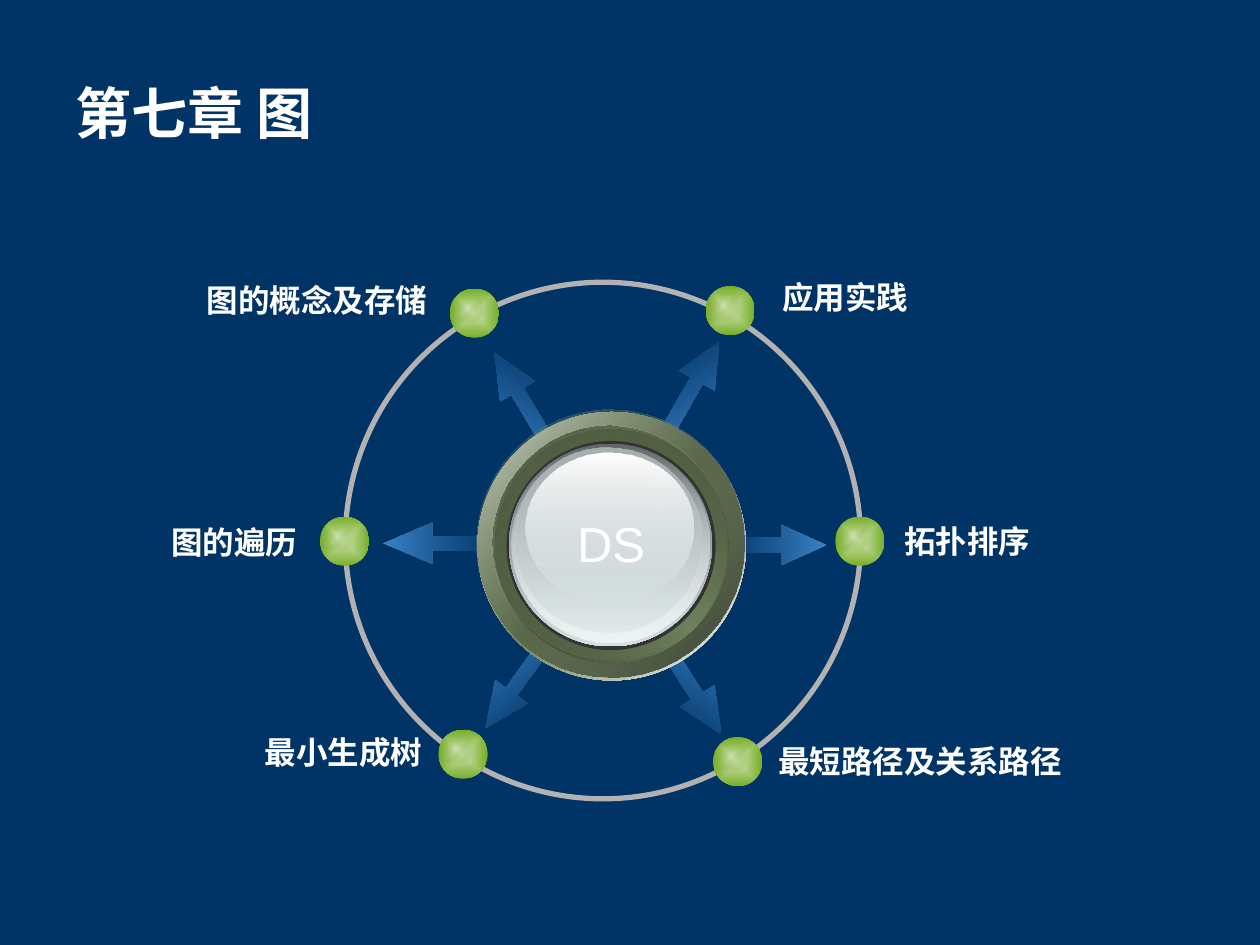
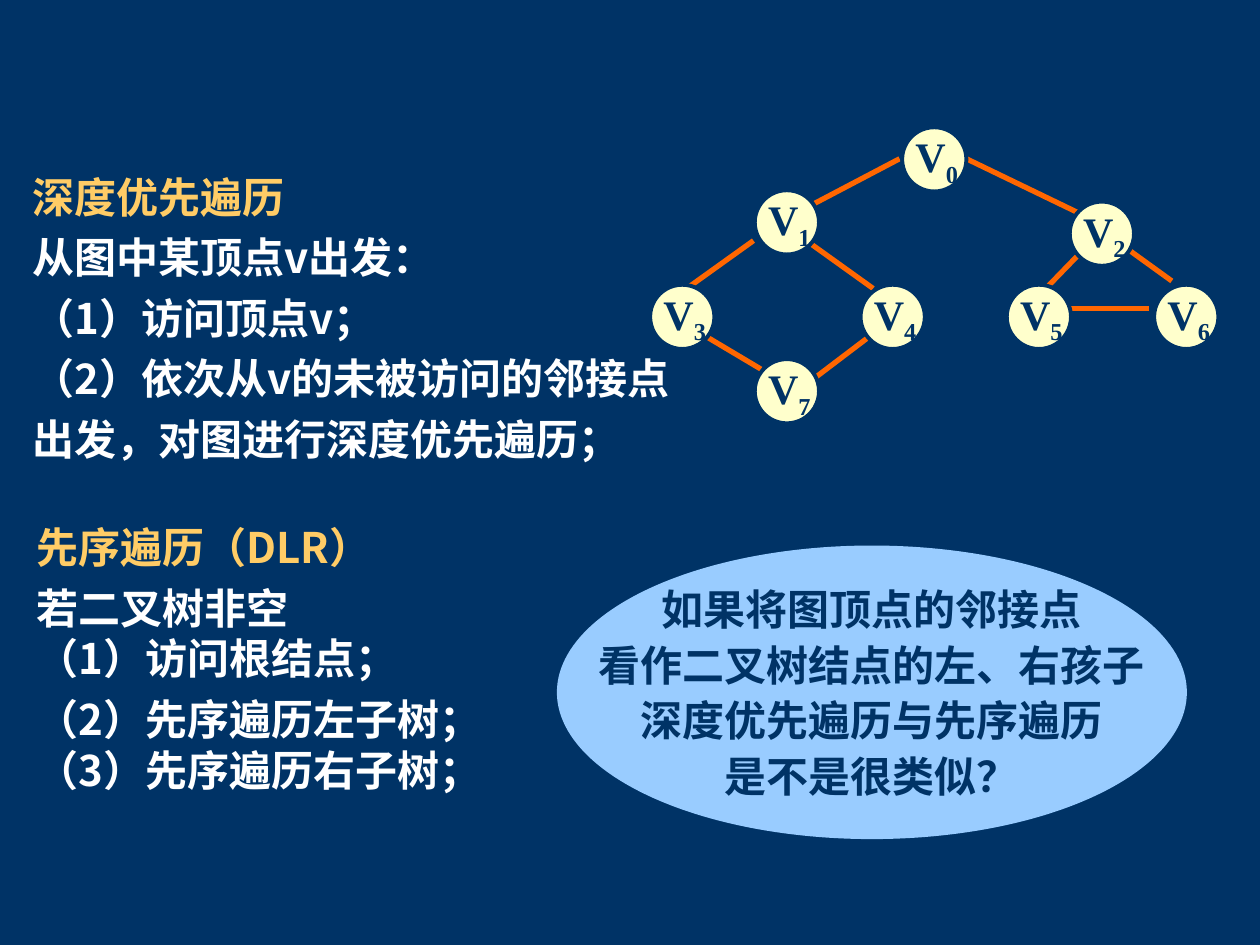
from lxml.etree import SubElement
from pptx import Presentation
from pptx.dml.color import RGBColor
from pptx.enum.shapes import MSO_CONNECTOR, MSO_SHAPE
from pptx.enum.text import MSO_ANCHOR, PP_ALIGN
from pptx.oxml.ns import qn
from pptx.util import Inches, Pt

NAVY = RGBColor(0x00, 0x33, 0x66)
WHITE = RGBColor(0xFF, 0xFF, 0xFF)
GOLD = RGBColor(0xFF, 0xCC, 0x66)
SKY = RGBColor(0x99, 0xCC, 0xFF)
CREAM = RGBColor(0xFF, 0xFF, 0xCC)
ORANGE = RGBColor(0xFF, 0x66, 0x00)
RING_GRAY = RGBColor(0xB2, 0xB2, 0xB2)
CHARCOAL = RGBColor(0x33, 0x33, 0x33)
CHINESE_FONT = "Noto Sans CJK SC"

# Gradient stops: position %, colour, opacity %
ARROW_STOPS = [(0, "3984C9", 100), (100, "3275B2", 0)]
BEAD_STOPS = [(0, "D0E2B5", 100), (100, "77AE26", 100)]
GLINT_STOPS = [(0, "D0E2B5", 100), (100, "77AE26", 0)]

CHAPTER_TITLE = "第七章 图"
HUB_TEXT = "DS"
# Left, top, width, rotation, gradient angle, head length
ARROWS = [
    (5.05, 2.93, 0.87, 299.6, 240, 1.11),
    (5.05, 5.29, 0.87, 57.8, 122, 1.11),
    (3.71, 3.01, 0.87, 239.5, 300, 1.11),
    (3.67, 5.26, 0.87, 125.6, 54, 1.11),
    (5.68, 4.16, 0.87, 0, 180, 1.11),
    (3.04, 4.15, 0.94, 180, 0, 1.21),
]
# Topic, bead position, label edge nearest the bead, label top, alignment
TOPICS = [
    ("图的概念及存储", (3.57, 2.29), 3.49, 2.18, PP_ALIGN.RIGHT),
    ("图的遍历", (2.54, 4.1), 2.46, 4.1, PP_ALIGN.RIGHT),
    ("最小生成树", (3.48, 5.79), 3.45, 5.77, PP_ALIGN.RIGHT),
    ("应用实践", (5.6, 2.27), 6.11, 2.16, PP_ALIGN.LEFT),
    ("拓扑排序", (6.63, 4.1), 7.08, 4.09, PP_ALIGN.LEFT),
    ("最短路径及关系路径", (5.66, 5.85), 6.08, 5.84, PP_ALIGN.LEFT),
]
# Box, gradient stops (or a solid colour), angle
HUB_LAYERS = [
    ((3.79, 3.27, 2.13, 2.13),
     [(0, "FEFEFE", 100), (50, "6E815B", 100), (100, "FEFEFE", 100)], 225),
    ((3.78, 3.25, 2.13, 2.13), [(0, "323B29", 100), (100, "6E815B", 32)], 225),
    ((3.93, 3.41, 1.85, 1.85),
     [(0, "3B4531", 100), (50, "6E815B", 100), (100, "3B4531", 100)], 135),
    ((3.91, 3.38, 1.85, 1.85), [(0, "6E815B", 0), (100, "455139", 100)], 225),
    ((4.02, 3.5, 1.66, 1.66), CHARCOAL, None),
    ((4.04, 3.52, 1.61, 1.61), [(0, "626768", 100), (100, "D6E1E2", 100)], 90),
    ((4.06, 3.53, 1.57, 1.57), [(0, "D6E1E2", 0), (100, "EFF3F3", 100)], 90),
    ((4.08, 3.55, 1.49, 1.47), [(0, "A8B1B2", 100), (100, "D6E1E2", 48)], 90),
    ((4.17, 3.59, 1.33, 1.19), [(0, "FEFEFE", 100), (100, "D6E1E2", 38)], 90),
]

DEPTH_FIRST = [
    "深度优先遍历",
    "从图中某顶点v出发：",
    "（1）访问顶点v；\v（2）依次从v的未被访问的邻接点",
    "出发，对图进行深度优先遍历；",
]
PREORDER = [
    "先序遍历（DLR）",
    "若二叉树非空\v（1）访问根结点；",
    "（2）先序遍历左子树；\v（3）先序遍历右子树；",
]
QUESTION = [
    "如果将图顶点的邻接点",
    "看作二叉树结点的左、右孩子",
    "深度优先遍历与先序遍历",
    "是不是很类似？",
]
# Left and top of V0 to V7
VERTICES = [(7.16, 1.01), (5.99, 1.51), (8.49, 1.6), (5.16, 2.26),
            (6.83, 2.26), (7.99, 2.26), (9.16, 2.26), (5.99, 2.85)]
VERTEX_SIZE = 0.51
EDGES = [
    (5.45, 2.29, 5.98, 1.91), (6.36, 1.67, 7.14, 1.26), (6.4, 1.91, 6.93, 2.29),
    (7.67, 1.26, 8.56, 1.69), (8.94, 1.97, 9.3, 2.23), (8.3, 2.29, 8.62, 1.96),
    (8.41, 2.45, 9.12, 2.45), (6.4, 3.05, 6.98, 2.61), (5.62, 2.68, 6.04, 2.93),
]


def style_paragraph(paragraph, size, color, font_name, bold=True, align=PP_ALIGN.LEFT):
    paragraph.alignment = align
    font = paragraph.font
    font.size, font.bold, font.name = Pt(size), bold, font_name
    font.color.rgb = color
    properties = paragraph._p.pPr.find(qn("a:defRPr"))
    SubElement(properties, qn("a:ea")).set("typeface", CHINESE_FONT)


def fill_paragraphs(frame, texts):
    for index, text in enumerate(texts):
        paragraph = frame.paragraphs[0] if index == 0 else frame.add_paragraph()
        paragraph.text = text
        yield index, paragraph


def add_text(slide, box, texts, wrap=True):
    """Add a text box and return its numbered paragraphs for styling."""
    frame = slide.shapes.add_textbox(*map(Inches, box)).text_frame
    frame.word_wrap = wrap
    return list(fill_paragraphs(frame, texts))


def add_plain_shape(slide, kind, box, color=None):
    shape = slide.shapes.add_shape(kind, *map(Inches, box))
    shape.shadow.inherit = False
    shape.line.fill.background()
    if color is None:
        shape.fill.background()
    else:
        shape.fill.solid()
        shape.fill.fore_color.rgb = color
    return shape


def set_gradient(shape, stops, angle=None):
    """Fill with a linear gradient, or one spreading from the centre if no angle."""
    properties = shape._element.spPr
    properties.remove(properties.find(qn("a:noFill")))
    gradient = properties.makeelement(qn("a:gradFill"), {"rotWithShape": "0"})
    properties.find(qn("a:prstGeom")).addnext(gradient)
    stop_list = SubElement(gradient, qn("a:gsLst"))
    for position, color, opacity in stops:
        stop = SubElement(stop_list, qn("a:gs"), pos=str(position * 1000))
        value = SubElement(stop, qn("a:srgbClr"), val=color)
        if opacity < 100:
            SubElement(value, qn("a:alpha"), val=str(opacity * 1000))
    if angle is None:
        center = SubElement(gradient, qn("a:path"))
        center.set("path", "rect")
        SubElement(center, qn("a:fillToRect"), l="50000", t="50000", r="50000", b="50000")
    else:
        SubElement(gradient, qn("a:lin"), ang=str(angle * 60000), scaled="0")


def add_arrow(slide, left, top, width, rotation, angle, head):
    arrow = add_plain_shape(slide, MSO_SHAPE.RIGHT_ARROW, (left, top, width, 0.32))
    arrow.adjustments[0], arrow.adjustments[1] = 0.35, head
    arrow.rotation = rotation
    set_gradient(arrow, ARROW_STOPS, angle)


def add_topic(slide, text, bead, edge, top, align):
    left, bead_top = bead
    for box, stops in [((left, bead_top, 0.39, 0.39), BEAD_STOPS),
                       ((left + 0.02, bead_top + 0.03, 0.24, 0.25), GLINT_STOPS)]:
        set_gradient(add_plain_shape(slide, MSO_SHAPE.OVAL, box), stops)
    width = 0.2 + 0.25 * len(text)
    label_left = edge - width if align == PP_ALIGN.RIGHT else edge
    for _, paragraph in add_text(slide, (label_left, top, width, 0.4), [text], wrap=False):
        style_paragraph(paragraph, 18, WHITE, "Arial", align=align)


def add_edge(slide, *ends):
    edge = slide.shapes.add_connector(MSO_CONNECTOR.STRAIGHT, *map(Inches, ends))
    edge.line.color.rgb = ORANGE
    edge.line.width = Pt(3)
    SubElement(edge._element.spPr, qn("a:effectLst"))


def add_vertex(slide, number, left, top):
    vertex = add_plain_shape(
        slide, MSO_SHAPE.OVAL, (left, top, VERTEX_SIZE, VERTEX_SIZE), CREAM)
    vertex.line.color.rgb = NAVY
    vertex.line.width = Pt(2.25)
    frame = vertex.text_frame
    frame.word_wrap = False
    frame.margin_left = Inches(0.04)
    frame.margin_right = frame.margin_top = frame.margin_bottom = 0
    paragraph = frame.paragraphs[0]
    paragraph.add_run().text = "V"
    subscript = paragraph.add_run()
    subscript.text = str(number)
    subscript.font._element.set("baseline", "-25000")
    style_paragraph(paragraph, 24, NAVY, "Times New Roman", align=PP_ALIGN.CENTER)


def build_chapter_slide(presentation):
    slide = presentation.slides.add_slide(presentation.slide_layouts[5])
    title = slide.shapes.title
    title.left, title.top, title.width, title.height = map(Inches, (0.5, 0.58, 8.42, 0.62))
    title.text_frame.text = CHAPTER_TITLE
    title.text_frame.vertical_anchor = MSO_ANCHOR.MIDDLE
    style_paragraph(title.text_frame.paragraphs[0], 32, WHITE, "DejaVu Sans")

    for arrow in ARROWS:
        add_arrow(slide, *arrow)
    ring = add_plain_shape(slide, MSO_SHAPE.OVAL, (2.74, 2.24, 4.09, 4.1))
    ring.line.color.rgb = RING_GRAY
    ring.line.width = Pt(3)
    for topic in TOPICS:
        add_topic(slide, *topic)
    for box, filling, angle in HUB_LAYERS:
        if angle is None:
            add_plain_shape(slide, MSO_SHAPE.OVAL, box, filling)
        else:
            set_gradient(add_plain_shape(slide, MSO_SHAPE.OVAL, box), filling, angle)
    for _, paragraph in add_text(slide, (4.48, 4.03, 0.74, 0.57), [HUB_TEXT], wrap=False):
        style_paragraph(paragraph, 28, WHITE, "Arial", bold=False, align=PP_ALIGN.CENTER)


def build_traversal_slide(presentation):
    slide = presentation.slides.add_slide(presentation.slide_layouts[6])
    bubble = add_plain_shape(slide, MSO_SHAPE.OVAL, (4.42, 4.33, 5, 2.33), SKY)
    bubble.text_frame.word_wrap = False
    for index, paragraph in fill_paragraphs(bubble.text_frame, QUESTION):
        paragraph.space_before = Pt(3 if index else 0)
        style_paragraph(paragraph, 24, NAVY, CHINESE_FONT, align=PP_ALIGN.CENTER)

    for index, paragraph in add_text(slide, (0.16, 1.31, 5.71, 2.42), DEPTH_FIRST):
        if index:
            paragraph.line_spacing = 1.2
        style_paragraph(paragraph, 24, WHITE if index else GOLD, CHINESE_FONT)
    for index, paragraph in add_text(slide, (0.19, 4.09, 4.06, 2.27), PREORDER):
        paragraph.space_before = Pt(6 if index else 0)
        style_paragraph(paragraph, 24, WHITE if index else GOLD, CHINESE_FONT)

    for edge in EDGES:
        add_edge(slide, *edge)
    for number, (left, top) in enumerate(VERTICES):
        add_vertex(slide, number, left, top)


def main():
    presentation = Presentation()
    presentation.slide_width, presentation.slide_height = Inches(10), Inches(7.5)
    background = presentation.slide_master.background.fill
    background.solid()
    background.fore_color.rgb = NAVY
    build_chapter_slide(presentation)
    build_traversal_slide(presentation)
    presentation.save("out.pptx")


if __name__ == "__main__":
    main()
